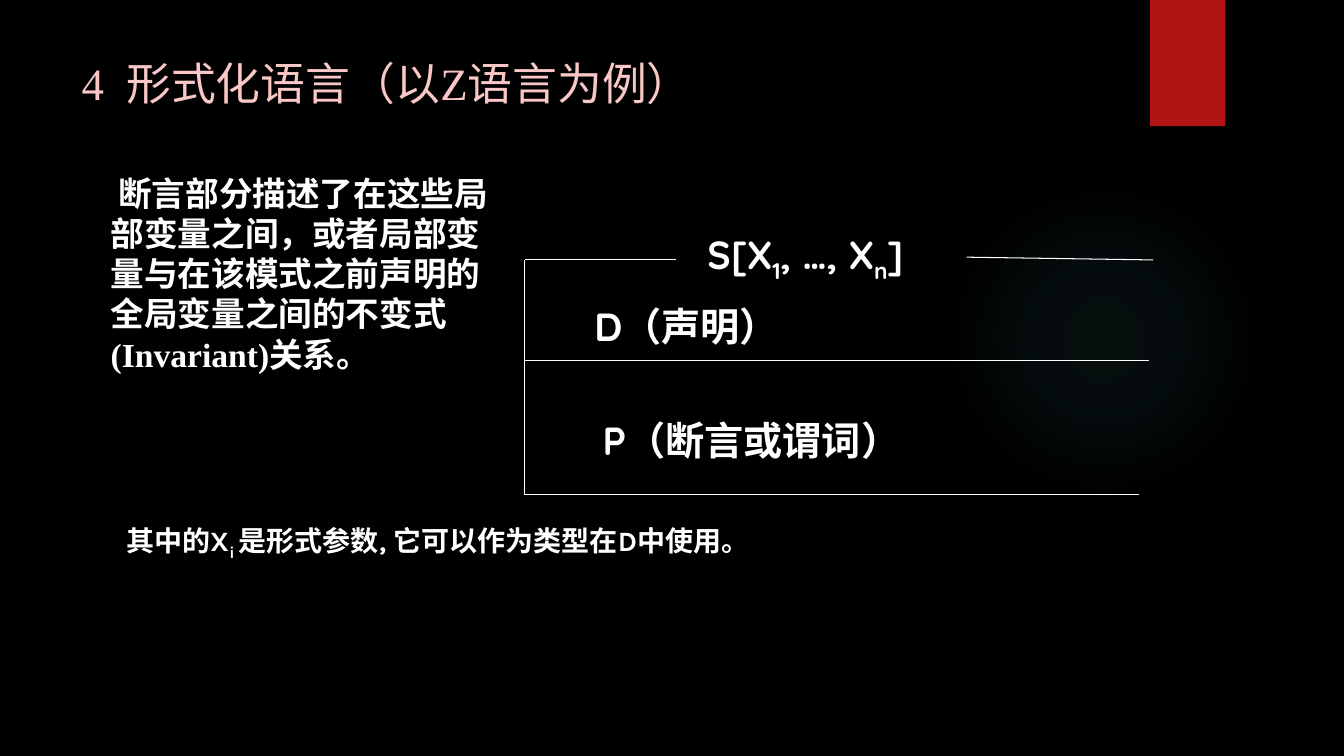
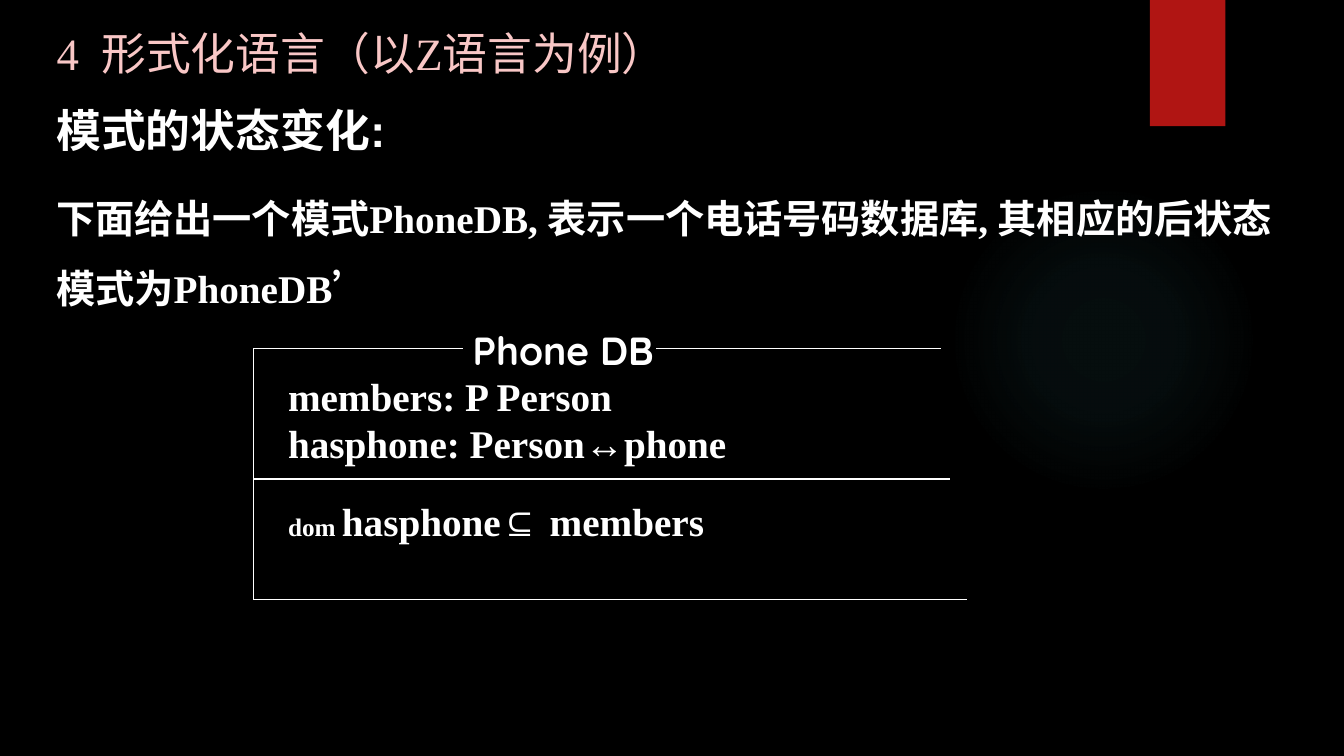
from lxml import etree
from pptx import Presentation
from pptx.dml.color import RGBColor
from pptx.enum.shapes import MSO_CONNECTOR, MSO_SHAPE
from pptx.enum.text import MSO_ANCHOR, MSO_AUTO_SIZE, PP_ALIGN
from pptx.oxml import parse_xml
from pptx.oxml.ns import nsdecls, qn
from pptx.util import Cm, Pt

BLACK = RGBColor(0x00, 0x00, 0x00)
WHITE = RGBColor(0xFF, 0xFF, 0xFF)
RED = RGBColor(0xB0, 0x15, 0x13)
PINK = RGBColor(0xF9, 0xC7, 0xC6)
GLOW = RGBColor(0x50, 0xB9, 0xC1)
GLOW_STOPS = ((0, 7), (36, 6), (69, 0), (100, 0))

SERIF = "Times New Roman"
SANS = "Arial"
ROUND = "Quicksand"
NOTE = "Karla"

STRAIGHT = MSO_CONNECTOR.STRAIGHT
OVAL = MSO_SHAPE.OVAL
RECTANGLE = MSO_SHAPE.RECTANGLE
TOP = MSO_ANCHOR.TOP
LEFT = PP_ALIGN.LEFT
NO_FIT = MSO_AUTO_SIZE.NONE
GROW = MSO_AUTO_SIZE.SHAPE_TO_FIT_TEXT

TITLE_ONLY = 5
TITLE = "4  形式化语言（以Z语言为例）"


def add_run(p, text, font, size, color=WHITE, bold=True, subscript=False):
    """Append one formatted run to a paragraph."""
    r = p.add_run()
    r.text = text
    r.font.name = font
    r.font.size = Pt(size)
    r.font.bold = bold
    r.font.color.rgb = color
    if subscript:
        r._r.get_or_add_rPr().set("baseline", "-25000")


def add_text(s, box, paragraphs, font, size=28, grow=True, spacing=None, before=0):
    """Add a text box; a run is a string or (string, size, subscript)."""
    tf = s.shapes.add_textbox(*map(Cm, box)).text_frame
    tf.word_wrap = True
    tf.auto_size = GROW if grow else NO_FIT
    for i, runs in enumerate(paragraphs):
        p = tf.add_paragraph() if i else tf.paragraphs[0]
        p.space_before = Pt(before)
        if spacing:
            p.line_spacing = spacing
        for run in runs:
            text, run_size, subscript = (run, size, False) if isinstance(run, str) else run
            add_run(p, text, font, run_size, subscript=subscript)


def add_line(s, x1, y1, x2, y2):
    """Draw one thin white line."""
    line = s.shapes.add_connector(STRAIGHT, Cm(x1), Cm(y1), Cm(x2), Cm(y2))
    line.line.color.rgb = WHITE
    line.line.width = Pt(0.75)
    etree.SubElement(line.element.spPr, qn("a:effectLst"))


def add_schema(s, left, rows, gap, ends, gap_y):
    """Draw an open Z schema frame with a gap in its top line for the name."""
    top, middle, bottom = rows
    add_line(s, left, top, left, bottom)
    add_line(s, left, top, gap[0], top)
    add_line(s, gap[1], gap_y, ends[0], top)
    add_line(s, left, middle, ends[1], middle)
    add_line(s, left, bottom, ends[2], bottom)


def add_plain_shape(s, kind, box):
    """Add a preset shape without outline or shadow."""
    sp = s.shapes.add_shape(kind, *map(Cm, box))
    sp.line.fill.background()
    sp.shadow.inherit = False
    return sp


def set_glow(sp):
    """Fill a shape with a faint radial gradient."""
    stops = "".join(
        f'<a:gs pos="{pos * 1000}"><a:srgbClr val="{GLOW}">'
        f'<a:alpha val="{alpha * 1000}"/></a:srgbClr></a:gs>'
        for pos, alpha in GLOW_STOPS
    )
    gradient = parse_xml(
        f'<a:gradFill {nsdecls("a")} rotWithShape="1"><a:gsLst>{stops}</a:gsLst>'
        '<a:path path="circle"><a:fillToRect l="50000" t="50000" r="50000" b="50000"/>'
        "</a:path></a:gradFill>"
    )
    sp.fill.background()
    spPr = sp.element.spPr
    spPr.replace(spPr.find(qn("a:noFill")), gradient)


def add_slide(prs, title_box):
    """Add a slide with the shared glow, red band and title."""
    s = prs.slides.add_slide(prs.slide_layouts[TITLE_ONLY])
    set_glow(add_plain_shape(s, OVAL, (23.9, 4.65, 7.82, 7.82)))
    band = add_plain_shape(s, RECTANGLE, (28.98, 0, 1.9, 3.18))
    band.fill.solid()
    band.fill.fore_color.rgb = RED
    title = s.shapes.title
    title.left, title.top, title.width, title.height = map(Cm, title_box)
    tf = title.text_frame
    tf.word_wrap = True
    tf.auto_size = NO_FIT
    tf.vertical_anchor = TOP
    p = tf.paragraphs[0]
    p.alignment = LEFT
    add_run(p, TITLE, SERIF, 32, PINK, bold=False)
    return s


def build_assertion_slide(prs):
    """Explain the assertion part next to a generic schema."""
    s = add_slide(prs, (1.8, 1.27, 26.14, 3.89))
    add_text(s, (2.54, 4.22, 10.16, 6.15),
             [[" 断言部分描述了在这些局部变量之间，或者局部变量与在该模式之前声明的"
               "全局变量之间的不变式(Invariant)关系。"]], SERIF, 24, grow=False)
    add_text(s, (2.67, 12.65, 31.2, 3.38),
             [[(" ", 32, False), "其中的X", ("i ", 20, True),
               "是形式参数, 它可以作为类型在D中使用。"]], NOTE, 20, grow=False)
    add_schema(s, 13.23, (6.55, 9.09, 12.47), (17.04, 24.36), (29.06, 28.96, 28.7), 6.48)
    add_text(s, (17.58, 5.69, 6.25, 1.45),
             [["S[X", ("1", 28, True), ", …, X", ("n", 28, True), "]"]], ROUND)
    add_text(s, (14.73, 7.49, 6.32, 1.45), [["D（声明）"]], ROUND)
    add_text(s, (14.94, 10.36, 9.42, 1.45), [["P（断言或谓词）"]], ROUND)


def build_state_slide(prs):
    """Show the phone database schema."""
    s = add_slide(prs, (1.17, 0.51, 28.4, 2.44))
    add_schema(s, 6.38, (8.79, 12.07, 15.11), (11.66, 16.54), (23.72, 23.95, 24.36), 8.79)
    add_text(s, (11.66, 8.1, 5.5, 1.45), [["Phone DB"]], ROUND)
    add_text(s, (7.01, 9.73, 19.05, 2.16),
             [["members: P Person"], ["hasphone: Person↔phone"]],
             SERIF, spacing=0.55, before=15)
    add_text(s, (7.01, 12.4, 14.17, 1.45),
             [[("dom ", 18, False), "hasphone⊆ members"]], SERIF)
    add_text(s, (1.17, 2.46, 18.8, 1.6), [["模式的状态变化:"]], SANS, 32)
    add_text(s, (1.17, 4.17, 31.7, 3.63),
             [["下面给出一个模式PhoneDB, 表示一个电话号码数据库, "
               "其相应的后状态模式为PhoneDB’"]], SERIF, spacing=1.5)


def main():
    """Build and save the presentation."""
    prs = Presentation()
    prs.slide_width, prs.slide_height = Cm(33.87), Cm(19.05)
    background = prs.slide_master.background.fill
    background.solid()
    background.fore_color.rgb = BLACK
    build_assertion_slide(prs)
    build_state_slide(prs)
    prs.save("out.pptx")


if __name__ == "__main__":
    main()
